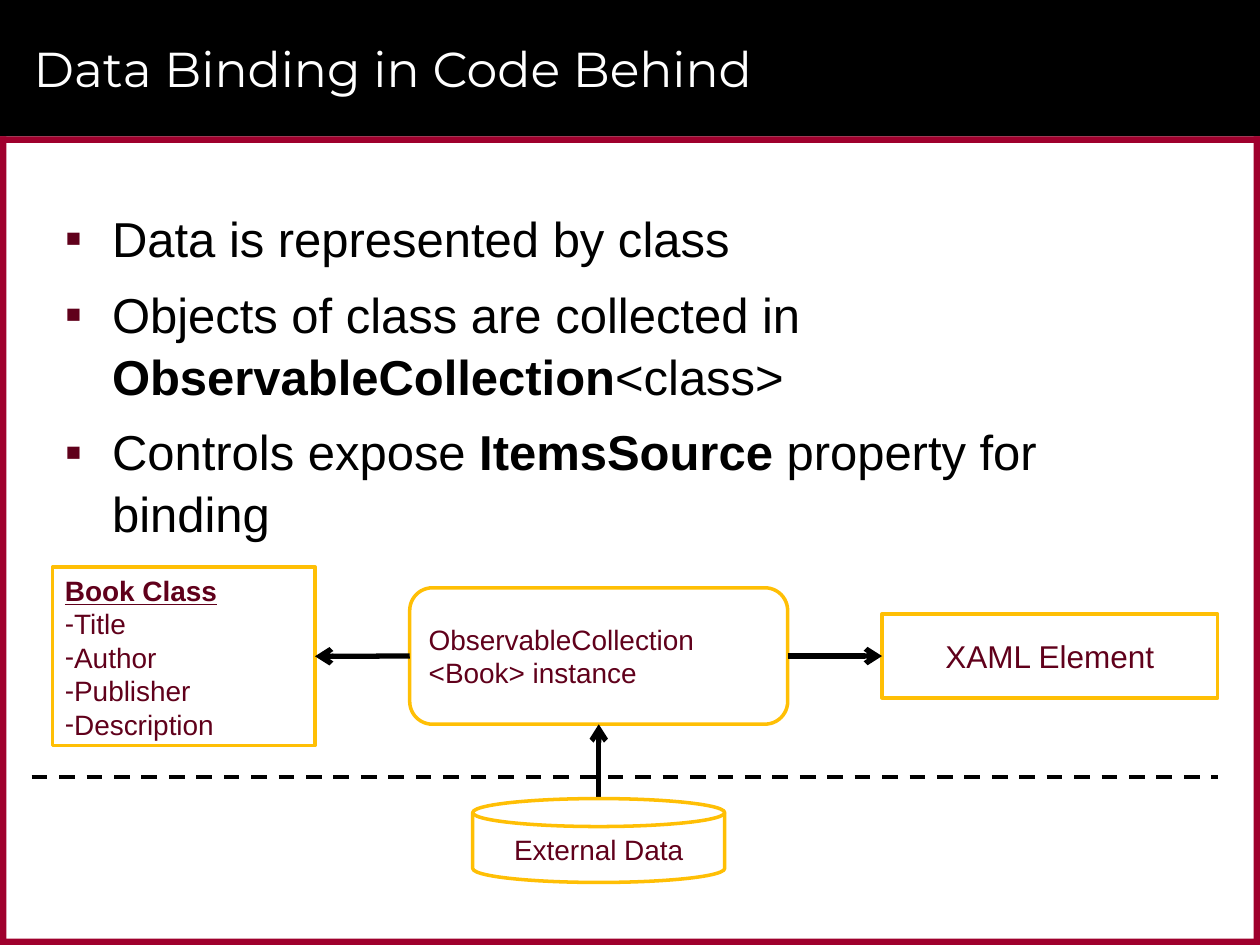
from dataclasses import dataclass
from typing import Any, NamedTuple, Optional

from lxml.etree import SubElement
from pptx import Presentation
from pptx.dml.color import RGBColor
from pptx.enum.dml import MSO_LINE_DASH_STYLE as Dash
from pptx.enum.shapes import MSO_CONNECTOR as Link, MSO_SHAPE as Preset
from pptx.enum.text import MSO_ANCHOR as Anchor, PP_ALIGN as Align
from pptx.oxml.ns import qn
from pptx.util import Cm, Pt

BLACK, WHITE, CRIMSON, MAROON, GOLD = "000000", "FFFFFF", "9F002D", "60001B", "FFBF05"
WIDTH, HEIGHT = 25.4, 19.05
HEADER, EDGE = 2.75, 0.13
TOP, LEFT, BOTTOM, RIGHT = range(4)


class Area(NamedTuple):
    left: float
    top: float
    width: float
    height: float


class Span(NamedTuple):
    text: str
    bold: bool = False
    underline: bool = False


@dataclass
class Para:
    spans: list[Span]
    bullet: str = ""


@dataclass
class Style:
    size: float
    color: str
    font: str = "Arial"
    align: Align = Align.LEFT
    anchor: Anchor = Anchor.TOP
    wrap: bool = True
    hanging: float = 0
    spacing: Optional[dict[str, Any]] = None


@dataclass
class Node:
    preset: Preset
    area: Area
    paras: list[Para]
    style: Style


def rgb(color: str) -> RGBColor:
    return RGBColor.from_string(color)


def apply(target: Any, values: dict[str, Any]) -> None:
    for name, value in values.items():
        setattr(target, name, value)


def lengths(area: Area) -> list[Cm]:
    return [Cm(value) for value in area]


def add_bullet(paragraph: Any, bullet: str, hanging: float) -> None:
    properties = paragraph._p.get_or_add_pPr()
    properties.set("marL", str(Cm(hanging)))
    properties.set("indent", str(-Cm(hanging)))
    color = SubElement(properties, qn("a:buClr"))
    SubElement(color, qn("a:srgbClr"), val=MAROON)
    SubElement(properties, qn("a:buFont"), typeface="Arial")
    SubElement(properties, qn("a:buChar"), char=bullet)


def write(box: Any, paras: list[Para], style: Style) -> None:
    frame = box.text_frame
    apply(frame, {"word_wrap": style.wrap, "vertical_anchor": style.anchor})
    for index, para in enumerate(paras):
        paragraph = frame.add_paragraph() if index else frame.paragraphs[0]
        paragraph.alignment = style.align
        if para.bullet:
            add_bullet(paragraph, para.bullet, style.hanging)
        apply(paragraph, style.spacing or {})
        if index == 0:
            paragraph.space_before = Pt(0)
        for span in para.spans:
            for row, line in enumerate(span.text.splitlines()):
                if row:
                    paragraph.add_line_break()
                run = paragraph.add_run()
                run.text = line
                apply(run.font, {"name": style.font, "size": Pt(style.size),
                                 "bold": span.bold, "underline": span.underline})
                run.font.color.rgb = rgb(style.color)


def add_text(page: Any, area: Area, paras: list[Para], style: Style) -> None:
    write(page.shapes.add_textbox(*lengths(area)), paras, style)


def add_block(page: Any, preset: Preset, area: Area, fill: str, line: str = "") -> Any:
    shape = page.shapes.add_shape(preset, *lengths(area))
    shape.shadow.inherit = False
    shape.fill.solid()
    shape.fill.fore_color.rgb = rgb(fill)
    if line:
        shape.line.color.rgb = rgb(line)
        shape.line.width = Pt(2)
    else:
        shape.line.fill.background()
    return shape


def add_node(page: Any, node: Node) -> Any:
    shape = add_block(page, node.preset, node.area, WHITE, GOLD)
    write(shape, node.paras, node.style)
    return shape


def add_line(page: Any, start: tuple[float, float], end: tuple[float, float],
             width: float) -> Any:
    line = page.shapes.add_connector(
        Link.STRAIGHT, *(Cm(value) for value in (*start, *end)))
    line.line.color.rgb = rgb(BLACK)
    line.line.width = Pt(width)
    SubElement(line._element.spPr, qn("a:effectLst"))
    return line


def add_arrow(page: Any, start: tuple[float, float], end: tuple[float, float]) -> Any:
    arrow = add_line(page, start, end, 3)
    SubElement(arrow.line._get_or_add_ln(), qn("a:tailEnd"), type="arrow")
    return arrow


def main() -> None:
    deck = Presentation()
    apply(deck, {"slide_width": Cm(WIDTH), "slide_height": Cm(HEIGHT)})
    page = deck.slides.add_slide(deck.slide_layouts[6])

    add_block(page, Preset.RECTANGLE, Area(0, 0, WIDTH, HEADER), BLACK)
    side = HEIGHT - HEADER
    for area in (Area(0, HEADER, WIDTH, EDGE), Area(0, HEIGHT - EDGE, WIDTH, EDGE),
                 Area(WIDTH - EDGE, HEADER, EDGE, side), Area(0, HEADER, EDGE, side)):
        add_block(page, Preset.RECTANGLE, area, CRIMSON)

    add_text(page, Area(0.43, 0.2, 23.93, 2.34), [Para([Span("Data Binding in Code Behind")])],
             Style(28, WHITE, "Montserrat", anchor=Anchor.MIDDLE))
    points = [
        [Span("Data is represented by class")],
        [Span("Objects of class are collected in "),
         Span("ObservableCollection", bold=True), Span("<class>")],
        [Span("Controls expose "), Span("ItemsSource ", bold=True),
         Span("property for binding")],
    ]
    spacing = {"space_before": Pt(6), "space_after": Pt(2), "line_spacing": 1.05}
    add_text(page, Area(1.06, 4.02, 23.28, 14.39), [Para(spans, "▪") for spans in points],
             Style(28, BLACK, hanging=0.95, spacing=spacing))

    fields = ("Title", "Author", "Publisher", "Description")
    book = add_node(page, Node(
        Preset.RECTANGLE, Area(1.06, 11.43, 5.29, 3.6),
        [Para([Span("Book Class", True, True)]), *(Para([Span(name)], "-") for name in fields)],
        Style(16, MAROON)))
    collection = add_node(page, Node(
        Preset.ROUNDED_RECTANGLE, Area(8.26, 11.85, 7.62, 2.75),
        [Para([Span("ObservableCollection\n<Book> instance")])],
        Style(16, MAROON, anchor=Anchor.MIDDLE, wrap=False)))
    element = add_node(page, Node(
        Preset.RECTANGLE, Area(17.78, 12.38, 6.77, 1.69), [Para([Span("XAML Element")])],
        Style(18, MAROON, align=Align.CENTER, anchor=Anchor.MIDDLE)))

    middle, axis = 13.23, 12.07
    for start, end, site, target, target_site in (
            (8.26, 6.35, LEFT, book, RIGHT), (15.88, 17.78, RIGHT, element, LEFT)):
        arrow = add_arrow(page, (start, middle), (end, middle))
        arrow.begin_connect(collection, site)
        arrow.end_connect(target, target_site)
    add_arrow(page, (axis, 16.3), (axis, 14.6)).end_connect(collection, BOTTOM)
    add_line(page, (0.64, 15.66), (24.56, 15.66), 2.25).line.dash_style = Dash.DASH

    add_node(page, Node(
        Preset.FLOWCHART_MAGNETIC_DISK, Area(9.53, 16.1, 5.08, 1.69),
        [Para([Span("External Data")])], Style(16, MAROON, align=Align.CENTER)))
    deck.save("out.pptx")


if __name__ == "__main__":
    main()
